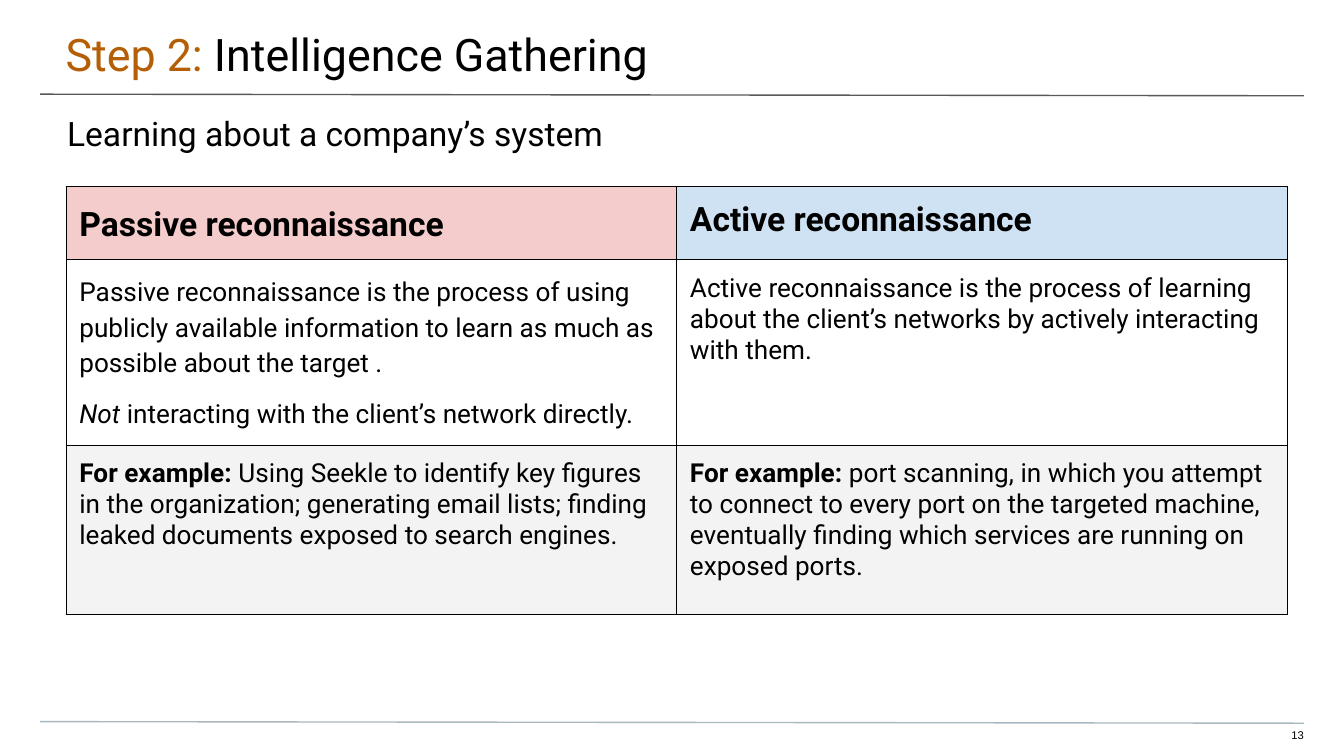
from dataclasses import dataclass
from typing import Optional

import pptx
import pptx.dml.color
import pptx.enum.shapes
import pptx.enum.text
import pptx.oxml
import pptx.oxml.ns
import pptx.util

Cm = pptx.util.Cm
Pt = pptx.util.Pt


@dataclass(frozen=True)
class Theme:
    font: str = "Roboto"
    number_font: str = "Arial"
    ink: str = "000000"
    accent: str = "B45F06"
    title_rule: str = "595959"
    footer_rule: str = "A9B7C0"
    passive: str = "F4CCCC"
    active: str = "CFE2F3"
    example: str = "F3F3F3"
    title_size: float = 24
    heading_size: float = 18
    body_size: float = 14
    number_size: float = 6
    line_width: float = 0.75


THEME = Theme()


@dataclass(frozen=True)
class Span:
    text: str
    bold: bool = False
    italic: bool = False
    color: str = THEME.ink


@dataclass(frozen=True)
class Para:
    spans: tuple[Span, ...]
    line_spacing: float = 1.0
    before: float = 0
    after: float = 8


@dataclass(frozen=True)
class CellText:
    paras: tuple[Para, ...]
    size: float = THEME.body_size
    fill: Optional[str] = None


@dataclass(frozen=True)
class Label:
    box: tuple[float, float, float, float]
    insets: tuple[float, float, float, float]
    spans: tuple[Span, ...]
    size: float
    font: str = THEME.font
    align: pptx.enum.text.PP_ALIGN = pptx.enum.text.PP_ALIGN.LEFT


@dataclass(frozen=True)
class Rule:
    top: float
    color: str


def rgb(value: str) -> pptx.dml.color.RGBColor:
    return pptx.dml.color.RGBColor.from_string(value)


def write_spans(paragraph, spans: tuple[Span, ...], size: float, font: str) -> None:
    for span in spans:
        run = paragraph.add_run()
        run.text = span.text
        run.font.name = font
        run.font.size = Pt(size)
        run.font.bold = span.bold
        run.font.italic = span.italic
        run.font.color.rgb = rgb(span.color)


def draw_rule(slide, rule: Rule) -> None:
    line = slide.shapes.add_connector(
        pptx.enum.shapes.MSO_CONNECTOR.STRAIGHT,
        Cm(0.76), Cm(rule.top), Cm(24.64), Cm(rule.top + 0.03),
    )
    line.line.color.rgb = rgb(rule.color)
    line.line.width = Pt(THEME.line_width)
    line.element.spPr.append(pptx.oxml.parse_xml(
        f"<a:effectLst {pptx.oxml.ns.nsdecls('a')}/>"))


def draw_label(slide, label: Label) -> None:
    frame = slide.shapes.add_textbox(*map(Cm, label.box)).text_frame
    frame.word_wrap = True
    (frame.margin_left, frame.margin_top,
     frame.margin_right, frame.margin_bottom) = map(Cm, label.insets)
    paragraph = frame.paragraphs[0]
    paragraph.alignment = label.align
    write_spans(paragraph, label.spans, label.size, label.font)


def add_borders(cell) -> None:
    properties = cell._tc.get_or_add_tcPr()
    for side in ("lnL", "lnR", "lnT", "lnB"):
        properties.append(pptx.oxml.parse_xml(
            f'<a:{side} {pptx.oxml.ns.nsdecls("a")} w="{Pt(THEME.line_width)}">'
            f'<a:solidFill><a:srgbClr val="{THEME.ink}"/></a:solidFill></a:{side}>'))


def fill_cell(cell, content: CellText) -> None:
    cell.margin_left = cell.margin_right = Cm(0.25)
    cell.margin_top = cell.margin_bottom = Cm(0.25)
    add_borders(cell)
    if content.fill:
        cell.fill.solid()
        cell.fill.fore_color.rgb = rgb(content.fill)
    else:
        cell.fill.background()
    frame = cell.text_frame
    for index, para in enumerate(content.paras):
        paragraph = frame.add_paragraph() if index else frame.paragraphs[0]
        paragraph.line_spacing = para.line_spacing
        paragraph.space_before = Pt(para.before)
        paragraph.space_after = Pt(para.after)
        write_spans(paragraph, para.spans, content.size, THEME.font)


def draw_comparison(slide, rows: tuple[tuple[CellText, ...], ...],
                    heights: tuple[float, ...], column_width: float) -> None:
    columns = len(rows[0])
    table = slide.shapes.add_table(
        len(rows), columns, Cm(1.25), Cm(3.53),
        Cm(column_width * columns), Cm(sum(heights))).table
    table.first_row = False
    table.horz_banding = False
    for column in table.columns:
        column.width = Cm(column_width)
    for row, height, contents in zip(table.rows, heights, rows):
        row.height = Cm(height)
        for cell, content in zip(row.cells, contents):
            fill_cell(cell, content)


def example(text: str) -> CellText:
    return CellText((Para((Span("For example: ", bold=True), Span(text))),),
                    fill=THEME.example)


def heading(text: str, fill: str, line_spacing: float = 1.0) -> CellText:
    return CellText((Para((Span(text, bold=True),), line_spacing),),
                    THEME.heading_size, fill)


RULES = (Rule(1.78, THEME.title_rule), Rule(13.64, THEME.footer_rule))

LABELS = (
    Label((-0.03, 0, 25.48, 1.47), (1.27, 0.51, 0.76, 0.25),
          (Span("Step 2:", color=THEME.accent), Span(" Intelligence Gathering")),
          THEME.title_size),
    Label((0, 1.88, 25.4, 1.02), (1.27, 0.25, 1.27, 0),
          (Span("Learning about a company’s system"),), THEME.heading_size),
    Label((23.9, 13.77, 0.74, 0.3), (0, 0, 0, 0.25), (Span("13"),),
          THEME.number_size, THEME.number_font, pptx.enum.text.PP_ALIGN.RIGHT),
)

COMPARISON = (
    (heading("Passive reconnaissance", THEME.passive, 1.15),
     heading("Active reconnaissance", THEME.active)),
    (CellText((
        Para((Span("Passive reconnaissance is the process of using publicly available "
                   "information to learn as much as possible about the target ."),),
             1.15, after=0),
        Para((Span("Not ", italic=True),
              Span("interacting with the client’s network directly.")), 1.15, before=8))),
     CellText((Para((Span("Active reconnaissance is the process of learning about the "
                          "client’s networks by actively interacting with them."),)),))),
    (example("Using Seekle to identify key figures in the organization; generating "
             "email lists; finding leaked documents exposed to search engines."),
     example("port scanning, in which you attempt to connect to every port on the targeted "
             "machine, eventually finding which services are running on exposed ports.")),
)


def main() -> None:
    deck = pptx.Presentation()
    deck.slide_width, deck.slide_height = Cm(25.4), Cm(14.29)
    slide = deck.slides.add_slide(deck.slide_layouts[6])
    for rule in RULES:
        draw_rule(slide, rule)
    for label in LABELS:
        draw_label(slide, label)
    draw_comparison(slide, COMPARISON, (1.37, 3.46, 3.2), 11.54)
    deck.save("out.pptx")


if __name__ == "__main__":
    main()
